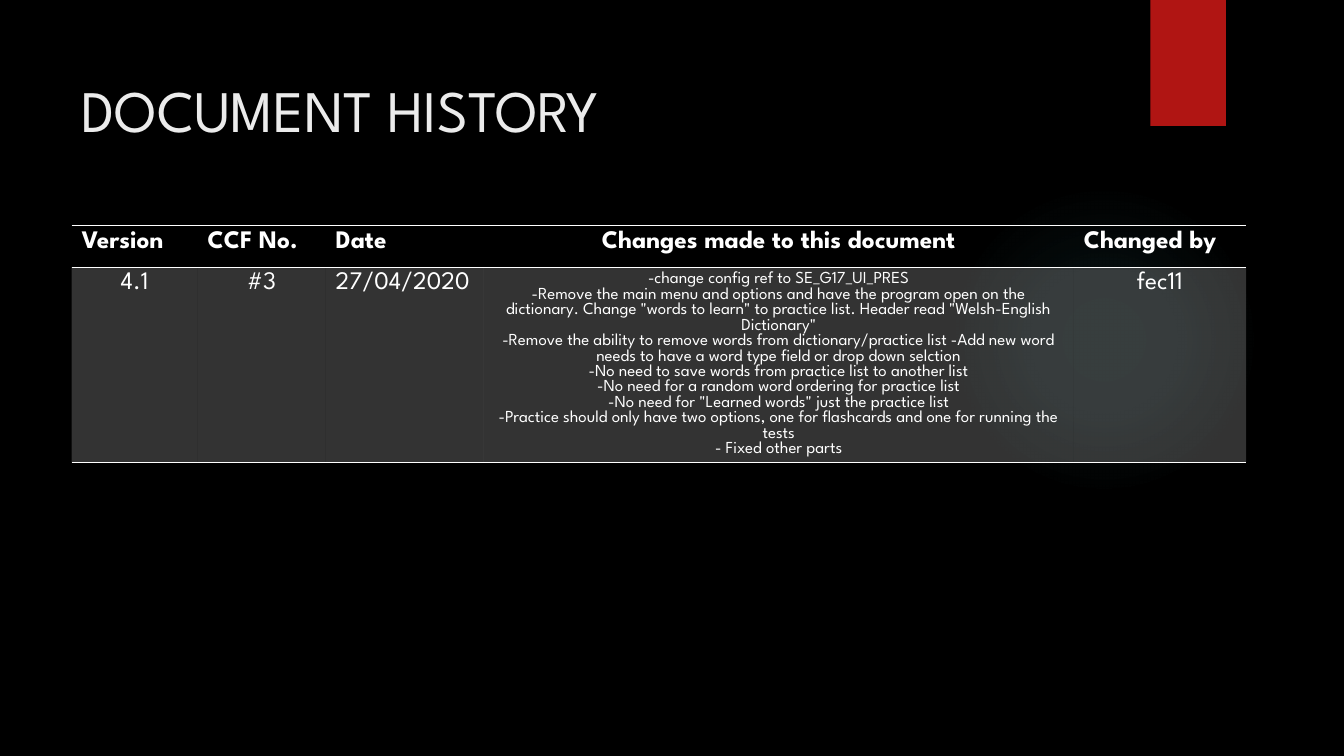
from lxml.etree import SubElement
from pptx import Presentation
from pptx.dml.color import RGBColor
from pptx.enum.shapes import MSO_SHAPE
from pptx.enum.text import MSO_ANCHOR, PP_ALIGN
from pptx.oxml import parse_xml
from pptx.oxml.ns import nsdecls, qn
from pptx.util import Inches, Pt

FONT = "League Spartan"
HUES = {"back": "000000", "glow": "50B9C1", "flag": "B01513",
        "title": "EBEBEB", "text": "FFFFFF"}
PLAIN = "{2D5ABB26-0587-4C30-8999-92F81FD0307C}"  # no style, no grid
LEFT, TOP = 0.71, 2.24
COLS = [1.25, 1.27, 1.57, 5.85, 1.71]
ROWS = [0.41, 1.93]
HEADS = ["Version", "CCF No.", "Date", "Changes made to this document", "Changed by"]
NOTES = [
    "-change config ref to SE_G17_UI_PRES",
    "-Remove the main menu and options and have the program open on the dictionary. "
    'Change "words to learn" to practice list. Header read "Welsh-English Dictionary"',
    "-Remove the ability to remove words from dictionary/practice list "
    "-Add new word needs to have a word type field or drop down selction",
    "-No need to save words from practice list to another list",
    "-No need for a random word ordering for practice list",
    '-No need for "Learned words" just the practice list',
    "-Practice should only have two options, one for flashcards and one for running the tests",
    "- Fixed other parts",
]
ENTRY = ["4.1", "#3", "27/04/2020", "\n".join(NOTES), "fec11"]
MIDDLE = {(0, 3), (1, 0), (1, 1), (1, 3), (1, 4)}


def style(para, size, hue, bold=False):
    font = para.font
    font.name, font.size, font.bold = FONT, Pt(size), bold
    font.color.rgb = RGBColor.from_string(HUES[hue])


def rule(props, side, place):
    """Draw a one-point line on one side of a table cell."""
    props.insert(place, parse_xml(
        f'<a:{side} {nsdecls("a")} w="12700"><a:solidFill>'
        f'<a:srgbClr val="{HUES["text"]}"/></a:solidFill></a:{side}>'))


deck = Presentation()
deck.slide_width, deck.slide_height = Inches(13.33), Inches(7.5)
slide = deck.slides.add_slide(deck.slide_layouts[5])
back = slide.background.fill
back.solid()
back.fore_color.rgb = RGBColor.from_string(HUES["back"])

# Soft glow and red flag
glow = slide.shapes.add_shape(
    MSO_SHAPE.OVAL, Inches(9.41), Inches(1.83), Inches(3.08), Inches(3.08))
flag = slide.shapes.add_shape(
    MSO_SHAPE.RECTANGLE, Inches(11.41), 0, Inches(0.75), Inches(1.25))
for shape in (glow, flag):
    shape.shadow.inherit = False
    shape.line.fill.background()
flag.fill.solid()
flag.fill.fore_color.rgb = RGBColor.from_string(HUES["flag"])
stops = "".join(
    f'<a:gs pos="{pos * 1000}"><a:srgbClr val="{HUES["glow"]}">'
    f'<a:alpha val="{alpha * 1000}"/></a:srgbClr></a:gs>'
    for pos, alpha in [(0, 7), (36, 6), (69, 0), (100, 0)])
glow.element.spPr.find(qn("a:prstGeom")).addnext(parse_xml(
    f'<a:gradFill {nsdecls("a")}><a:gsLst>{stops}</a:gsLst><a:path path="circle">'
    '<a:fillToRect l="50000" t="50000" r="50000" b="50000"/></a:path></a:gradFill>'))

# Title
title = slide.shapes.title
title.left, title.top = Inches(LEFT), Inches(0.5)
title.width, title.height = Inches(10.29), Inches(1.53)
frame = title.text_frame
frame.text = "DOCUMENT HISTORY"
frame.vertical_anchor = MSO_ANCHOR.TOP
frame.margin_top = Inches(0.23)
frame.paragraphs[0].alignment = PP_ALIGN.LEFT
style(frame.paragraphs[0], 42, "title")

# History table
holder = slide.shapes.add_table(
    len(ROWS), len(COLS), Inches(LEFT), Inches(TOP),
    Inches(sum(COLS)), Inches(sum(ROWS)))
table = holder.table
table.first_row = table.horz_banding = False
table._tbl.tblPr.find(qn("a:tableStyleId")).text = PLAIN
for col, width in zip(table.columns, COLS):
    col.width = Inches(width)
for row, height in zip(table.rows, ROWS):
    row.height = Inches(height)

for r, words in enumerate([HEADS, ENTRY]):
    for c, text in enumerate(words):
        cell = table.cell(r, c)
        cell.text = text
        for para in cell.text_frame.paragraphs:
            para.alignment = PP_ALIGN.CENTER if (r, c) in MIDDLE else PP_ALIGN.LEFT
            style(para, 12 if (r, c) == (1, 3) else 18, "text", r == 0)
        props = cell._tc.get_or_add_tcPr()
        if r == 0:
            cell.fill.background()
        else:
            cell.fill.solid()
            cell.fill.fore_color.rgb = RGBColor.from_string(HUES["text"])
            tint = props.find(qn("a:solidFill")).find(qn("a:srgbClr"))
            SubElement(tint, qn("a:alpha")).set("val", "20000")
        rule(props, "lnT", 0)
        rule(props, "lnB", 1)

deck.save("out.pptx")
